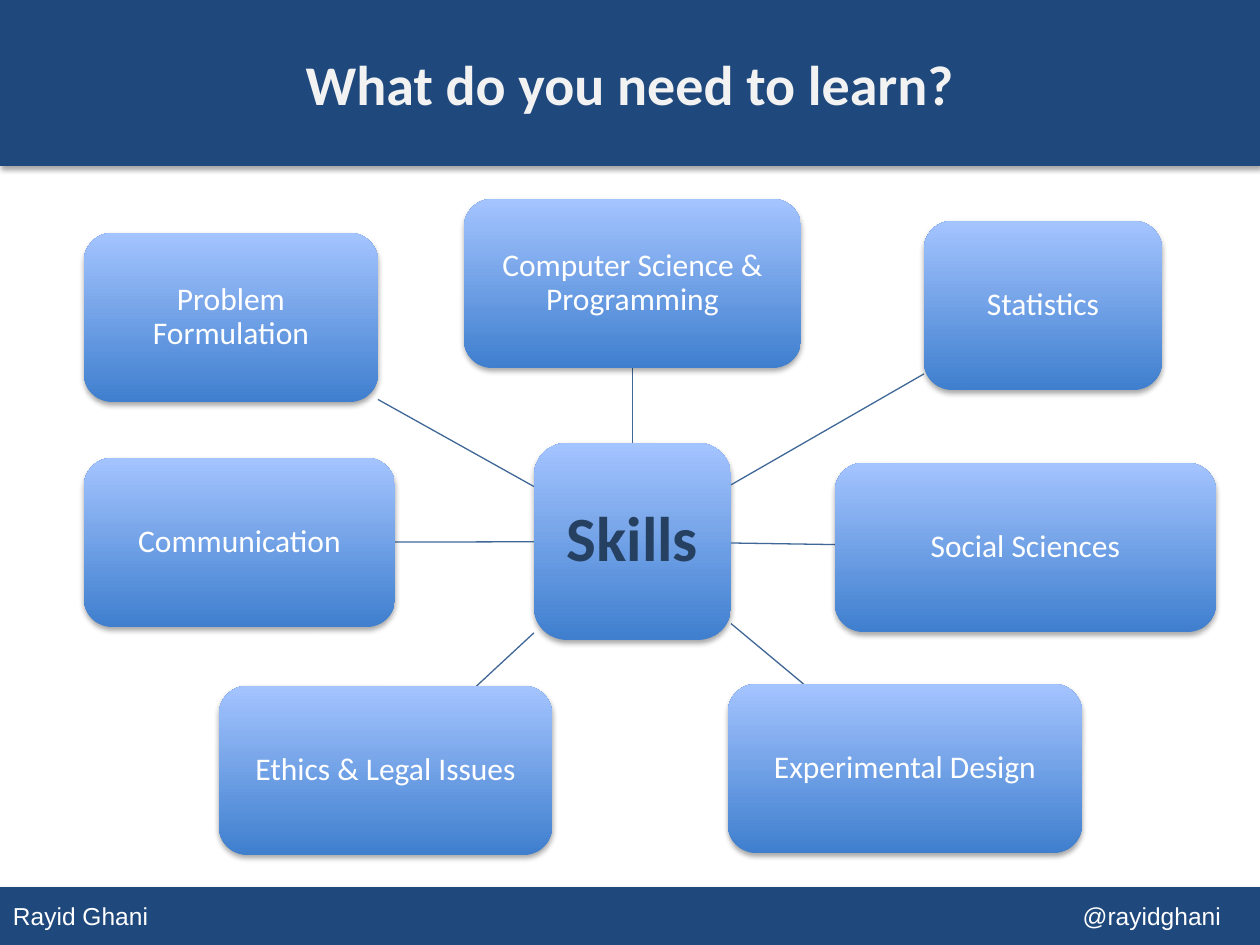
from dataclasses import dataclass
from typing import NamedTuple

from lxml.etree import SubElement
from pptx import Presentation
from pptx.dml.color import RGBColor as Rgb
from pptx.enum.shapes import MSO_CONNECTOR as Connector, MSO_SHAPE as Shape
from pptx.enum.text import MSO_ANCHOR as Anchor, PP_ALIGN as Align
from pptx.oxml.ns import qn
from pptx.util import Emu, Pt

EMU_PER_PX = 914400 / 126


@dataclass(frozen=True)
class Theme:
    """Colours, fonts and type sizes of the slide."""
    band: Rgb = Rgb.from_string("1F497D")
    title: Rgb = Rgb.from_string("F2F2F2")
    white: Rgb = Rgb.from_string("FFFFFF")
    hub: Rgb = Rgb.from_string("254061")
    link: Rgb = Rgb.from_string("3F6797")
    card_bottom: Rgb = Rgb.from_string("3F7FCE")
    card_top: Rgb = Rgb.from_string("A4C4FF")
    heading_font: str = "Calibri"
    footer_font: str = "Arial"
    title_size: int = 32
    hub_size: int = 36
    card_size: int = 18
    footer_size: int = 14


class Box(NamedTuple):
    """A rectangle in px."""
    left: int
    top: int
    width: int
    height: int

    def center(self):
        """Return the middle point."""
        return self.left + self.width / 2, self.top + self.height / 2

    def edge_towards(self, other):
        """Return the point where the line to the other box's middle leaves this box."""
        x, y = self.center()
        other_x, other_y = other.center()
        run, rise = other_x - x, other_y - y
        share = 0.5 / max(abs(run) / self.width, abs(rise) / self.height)
        return x + run * share, y + rise * share


THEME = Theme()
PAGE = Box(0, 0, 1260, 945)
HEADER = Box(0, 0, 1260, 166)
FOOTER = Box(0, 887, 1260, 58)
HUB = Box(534, 443, 197, 197)
CARD_HEIGHT = 169
SKILLS = [
    ("Computer Science & Programming", 464, 199, 337),
    ("Statistics", 924, 221, 238),
    ("Social Sciences", 835, 463, 381),
    ("Experimental Design", 728, 684, 354),
    ("Ethics & Legal Issues", 219, 686, 333),
    ("Communication", 84, 458, 311),
    ("Problem Formulation", 84, 233, 294),
]


def px(length):
    """Turn px into EMU."""
    return Emu(round(length * EMU_PER_PX))


def set_font(para, name, size, color, bold=False):
    """Format a whole paragraph."""
    font = para.font
    font.name, font.size, font.bold = name, Pt(size), bold
    font.color.rgb = color


def add_block(page, kind, box):
    """Add an outline-free shape with a soft shadow below it."""
    block = page.shapes.add_shape(kind, *map(px, box))
    block.line.fill.background()
    effects = SubElement(block.element.spPr, qn("a:effectLst"))
    shadow = SubElement(effects, qn("a:outerShdw"), blurRad="40000", dist="23000",
                        dir="5400000", rotWithShape="0")
    color = SubElement(shadow, qn("a:srgbClr"), val="000000")
    SubElement(color, qn("a:alpha"), val="35000")
    return block


def add_band(page, box):
    """Add a full-width bar."""
    band = add_block(page, Shape.RECTANGLE, box)
    band.fill.solid()
    band.fill.fore_color.rgb = THEME.band
    return band


def add_header(page, box):
    """Place the title over its bar."""
    title = page.shapes.title
    title.element.addprevious(add_band(page, box).element)
    title.left, title.top = px(box.left), px(box.top + 4)
    title.width, title.height = px(box.width), px(box.height - 8)
    title.text_frame.vertical_anchor = Anchor.MIDDLE
    title.text_frame.text = "What do you need to learn?"
    para = title.text_frame.paragraphs[0]
    para.alignment = Align.CENTER
    set_font(para, THEME.heading_font, THEME.title_size, THEME.title, bold=True)


def add_footer(page, box):
    """Place the author at the left and the handle at a right tab."""
    frame = add_band(page, box).text_frame
    frame.margin_left = px(13)
    frame.text = "Rayid Ghani\t@rayidghani"
    para = frame.paragraphs[0]
    para.alignment = Align.LEFT
    tabs = SubElement(para._p.get_or_add_pPr(), qn("a:tabLst"))
    SubElement(tabs, qn("a:tab"), pos=str(px(box.width - 52)), algn="r")
    set_font(para, THEME.footer_font, THEME.footer_size, THEME.white)


def add_card(page, box, text, size, color, margin, bold=False):
    """Add a rounded gradient card with centred text."""
    card = add_block(page, Shape.ROUNDED_RECTANGLE, box)
    card.fill.gradient()
    card.fill.gradient_angle = 90
    for stop, shade in zip(card.fill.gradient_stops, (THEME.card_bottom, THEME.card_top)):
        stop.color.rgb = shade
    for position, stop in enumerate(card.fill.gradient_stops):
        stop.position = position
    frame = card.text_frame
    frame.word_wrap = True
    frame.vertical_anchor = Anchor.MIDDLE
    frame.margin_left = frame.margin_right = px(margin)
    frame.margin_top = frame.margin_bottom = px(margin)
    frame.text = text
    para = frame.paragraphs[0]
    para.alignment = Align.CENTER
    para.line_spacing = 0.9
    set_font(para, THEME.heading_font, size, color, bold)


def add_link(page, start, end):
    """Join two boxes along the line between their middles."""
    points = start.edge_towards(end) + end.edge_towards(start)
    link = page.shapes.add_connector(Connector.STRAIGHT, *map(px, points))
    link.line.color.rgb = THEME.link
    link.line.width = Pt(0.75)
    SubElement(link.element.spPr, qn("a:effectLst"))


def add_skill_map(page, hub):
    """Place the hub and the skills linked to it."""
    add_card(page, hub, "Skills", THEME.hub_size, THEME.hub, 13, bold=True)
    for text, left, top, width in SKILLS:
        box = Box(left, top, width, CARD_HEIGHT)
        add_link(page, hub, box)
        add_card(page, box, text, THEME.card_size, THEME.white, 6)


def main():
    """Build and save the deck."""
    deck = Presentation()
    deck.slide_width, deck.slide_height = px(PAGE.width), px(PAGE.height)
    page = deck.slides.add_slide(deck.slide_layouts.get_by_name("Title Only"))
    add_header(page, HEADER)
    add_footer(page, FOOTER)
    add_skill_map(page, HUB)
    deck.save("out.pptx")


if __name__ == "__main__":
    main()
